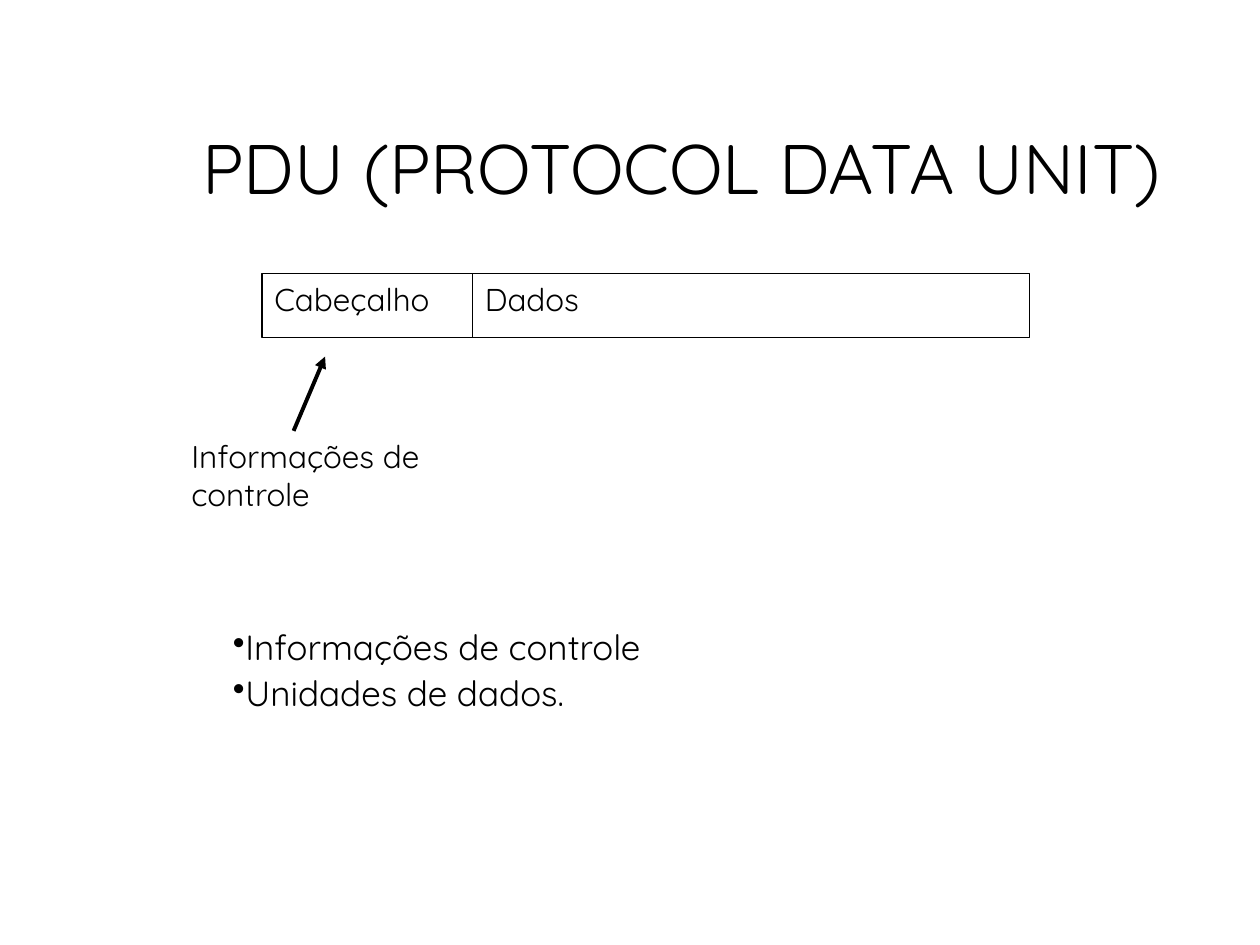
from dataclasses import dataclass

import pptx
import pptx.dml.color
import pptx.enum.shapes
import pptx.enum.text
import pptx.oxml.ns
import pptx.util
from lxml import etree

Inches = pptx.util.Inches
Pt = pptx.util.Pt
ALIGN = pptx.enum.text.PP_ALIGN
ANCHOR = pptx.enum.text.MSO_ANCHOR
qn = pptx.oxml.ns.qn

BLACK = pptx.dml.color.RGBColor(0x00, 0x00, 0x00)
FONT = "Quicksand"


@dataclass
class Field:
    label: str
    width: float


FIELDS = [Field("Cabeçalho", 1.67), Field("Dados", 4.42)]
FIELDS_LEFT, FIELDS_TOP, FIELDS_HEIGHT = 2.08, 2.17, 0.51


def write(sp, *lines: str, size: float = 18, align=ALIGN.LEFT,
          anchor=ANCHOR.TOP, line_spacing: float = 1.0,
          space_before: float = 0, bullet: str = "", indent: float = 0) -> None:
    tf = sp.text_frame
    tf.word_wrap = True
    tf.vertical_anchor = anchor
    for i, line in enumerate(lines):
        p = tf.add_paragraph() if i else tf.paragraphs[0]
        p.alignment = align
        p.line_spacing = line_spacing
        p.space_before = Pt(space_before)
        if bullet:
            pPr = p._p.get_or_add_pPr()
            pPr.set("marL", str(Inches(indent)))
            pPr.set("indent", "0")
            etree.SubElement(pPr, qn("a:buChar"), char=bullet)
        r = p.add_run()
        r.text = line
        r.font.name = FONT
        r.font.size = Pt(size)
        r.font.color.rgb = BLACK


def add_text(s, left: float, top: float, width: float, height: float,
             *lines: str, **fmt):
    sp = s.shapes.add_textbox(Inches(left), Inches(top), Inches(width), Inches(height))
    write(sp, *lines, **fmt)
    return sp


def add_field(s, field: Field, left: float) -> None:
    sp = s.shapes.add_shape(
        pptx.enum.shapes.MSO_SHAPE.RECTANGLE,
        Inches(left), Inches(FIELDS_TOP), Inches(field.width), Inches(FIELDS_HEIGHT))
    sp.shadow.inherit = False
    sp.fill.background()
    sp.line.color.rgb = BLACK
    sp.line.width = Pt(0.75)
    write(sp, field.label)


def add_arrow(s, x1: float, y1: float, x2: float, y2: float) -> None:
    arrow = s.shapes.add_connector(
        pptx.enum.shapes.MSO_CONNECTOR.STRAIGHT,
        Inches(x1), Inches(y1), Inches(x2), Inches(y2))
    arrow.line.color.rgb = BLACK
    arrow.line.width = Pt(2.25)
    etree.SubElement(arrow.line._get_or_add_ln(), qn("a:tailEnd"), type="triangle")
    etree.SubElement(arrow._element.spPr, qn("a:effectLst"))


def main() -> None:
    prs = pptx.Presentation()
    prs.slide_width, prs.slide_height = Inches(10), Inches(7.5)
    s = prs.slides.add_slide(prs.slide_layouts[6])

    add_text(s, 0.31, 0.78, 9, 1.17, "PDU (PROTOCOL DATA UNIT)", size=40,
             align=ALIGN.RIGHT, anchor=ANCHOR.MIDDLE, line_spacing=0.9)
    body = add_text(s, 1.17, 4.58, 8.37, 1.58,
                    "Informações de controle", "Unidades de dados.", size=20,
                    align=ALIGN.JUSTIFY, line_spacing=0.9, space_before=5,
                    bullet="•", indent=0.58)
    body.text_frame.margin_top = Inches(0.42)
    add_text(s, 1.42, 3.42, 2.67, 0.9, "Informações de controle")

    left = FIELDS_LEFT
    for field in FIELDS:
        add_field(s, field, left)
        left += field.width
    add_arrow(s, 2.33, 3.42, 2.58, 2.83)

    prs.save("out.pptx")


if __name__ == "__main__":
    main()
